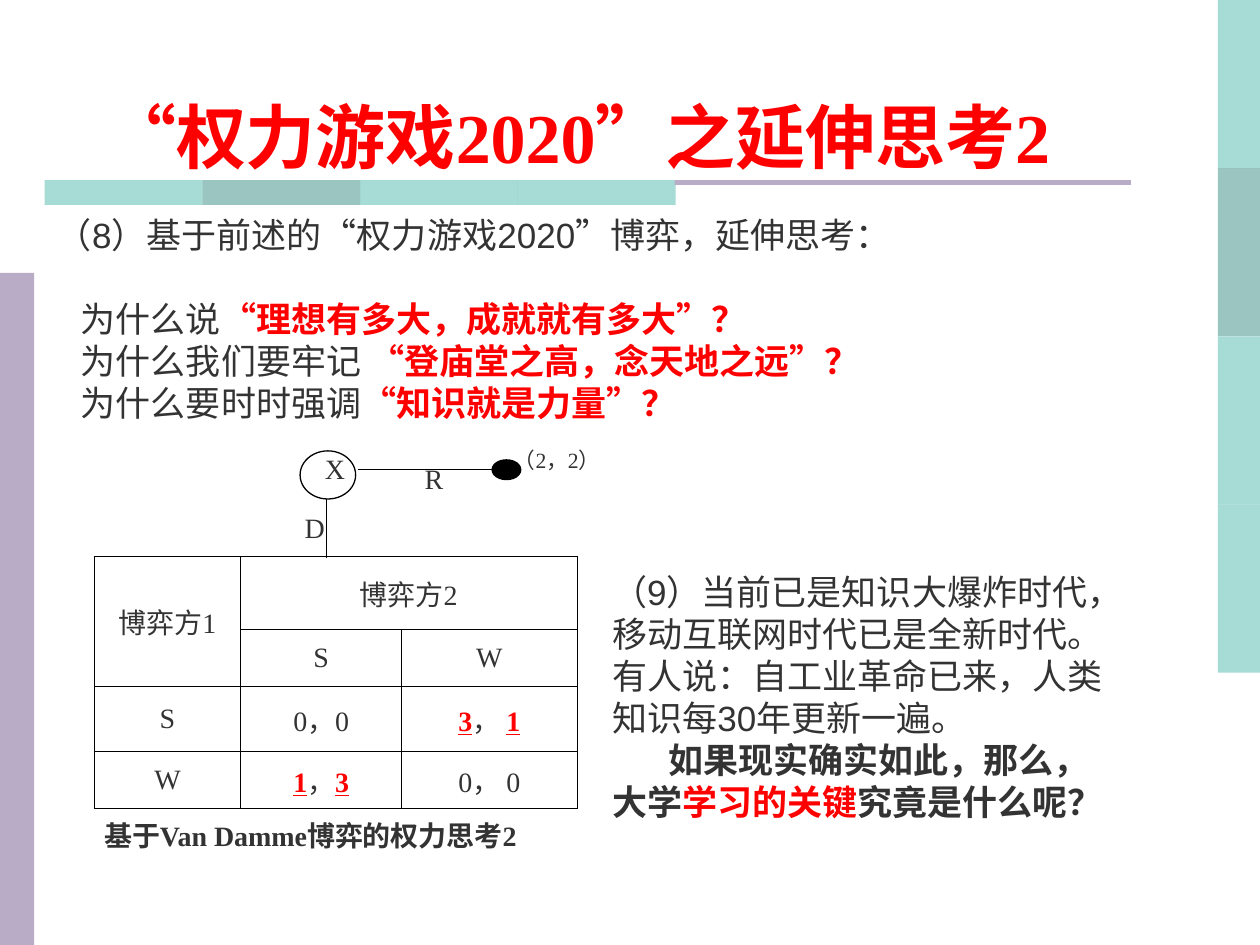
from lxml import etree
from pptx import Presentation
from pptx import util as u
from pptx.dml.color import RGBColor
from pptx.enum import shapes, text
from pptx.oxml.ns import qn

RED = RGBColor(0xFF, 0x00, 0x00)
INK = RGBColor(0x33, 0x33, 0x33)
BLACK = RGBColor(0x00, 0x00, 0x00)
TEAL = RGBColor(0x51, 0xB9, 0xAF)
DARK_TEAL = RGBColor(0x39, 0x8D, 0x85)
LILAC = RGBColor(0xB8, 0xAC, 0xC6)
BAND = (TEAL, DARK_TEAL, TEAL, TEAL)

SERIF, SANS = "Times New Roman", "Arial"
ALIGN, ANCHOR, FIT = text.PP_ALIGN, text.MSO_ANCHOR, text.MSO_AUTO_SIZE


def box(*lengths):
    return [u.Cm(length) for length in lengths]


class SlideBuilder:
    def __init__(self, slide):
        self.slide = slide

    def fill_paragraph(self, par, content, size=16, face=SERIF, color=INK,
                       bold=False, align=None, underline=None):
        """Fill a paragraph; parts between asterisks are red and bold."""
        par.alignment = align
        font = par.font
        font.size, font.name, font.bold = u.Pt(size), face, bold
        font.color.rgb = color
        for i, part in enumerate(content.split("*")):
            if not part:
                continue
            run = par.add_run()
            run.text = part
            if i % 2:
                run.font.color.rgb, run.font.bold = RED, True
                run.font.underline = underline

    def title(self, at, content):
        title = self.slide.shapes.title
        title.left, title.top, title.width, title.height = box(*at)
        frame = title.text_frame
        frame.vertical_anchor = ANCHOR.BOTTOM
        frame.word_wrap, frame.auto_size = True, FIT.NONE
        self.fill_paragraph(frame.paragraphs[0], content, 40, color=RED,
                            bold=True, align=ALIGN.CENTER)

    def text(self, at, *lines, anchor=ANCHOR.TOP, wrap=True, fit=FIT.NONE, **style):
        frame = self.slide.shapes.add_textbox(*box(*at)).text_frame
        frame.word_wrap, frame.auto_size, frame.vertical_anchor = wrap, fit, anchor
        for i, content in enumerate(lines):
            par = frame.add_paragraph() if i else frame.paragraphs[0]
            self.fill_paragraph(par, content, **style)
        return frame.paragraphs

    def shape(self, kind, at, fill=None, alpha=None, line=None):
        shape = self.slide.shapes.add_shape(kind, *box(*at))
        shape.shadow.inherit = False
        if fill is None:
            shape.fill.background()
        else:
            shape.fill.solid()
            shape.fill.fore_color.rgb = fill
        if alpha:
            color = shape._element.spPr.find(".//" + qn("a:srgbClr"))
            etree.SubElement(color, qn("a:alpha")).set("val", str(alpha * 1000))
        if line:
            shape.line.color.rgb, shape.line.width = BLACK, u.Pt(line)
        else:
            shape.line.fill.background()

    def rect(self, at, fill, alpha=None):
        self.shape(shapes.MSO_SHAPE.RECTANGLE, at, fill, alpha)

    def ellipse(self, at, fill=None, line=0.75):
        self.shape(shapes.MSO_SHAPE.OVAL, at, fill, line=line)

    def line(self, *ends):
        branch = self.slide.shapes.add_connector(
            shapes.MSO_CONNECTOR.STRAIGHT, *box(*ends))
        branch.line.color.rgb, branch.line.width = BLACK, u.Pt(0.75)
        etree.SubElement(branch._element.spPr, qn("a:effectLst"))

    def border(self, cell):
        props = cell._tc.get_or_add_tcPr()
        for i, side in enumerate(("lnL", "lnR", "lnT", "lnB")):
            edge = etree.Element(qn("a:" + side), w=str(int(u.Pt(0.45))))
            fill = etree.SubElement(edge, qn("a:solidFill"))
            etree.SubElement(fill, qn("a:srgbClr"), val=str(BLACK))
            props.insert(i, edge)

    def table(self, at, widths, heights, rows, merges):
        table = self.slide.shapes.add_table(
            len(heights), len(widths), *box(*at)).table
        table.first_row = table.horz_banding = False
        for column, width in zip(table.columns, widths):
            column.width = u.Cm(width)
        for row, height in zip(table.rows, heights):
            row.height = u.Cm(height)
        for r, row in enumerate(rows):
            for c, content in enumerate(row):
                cell = table.cell(r, c)
                cell.fill.background()
                cell.vertical_anchor = ANCHOR.MIDDLE
                self.border(cell)
                if content:
                    self.fill_paragraph(cell.text_frame.paragraphs[0], content,
                                        align=ALIGN.CENTER, underline=True)
        for first, last in merges:
            table.cell(*first).merge(table.cell(*last))


def main():
    deck = Presentation()
    deck.slide_width, deck.slide_height = box(25.4, 19.05)
    page = SlideBuilder(deck.slides.add_slide(deck.slide_layouts[5]))

    # Side bands, and the band and rule under the title
    for i, color in enumerate(BAND):
        page.rect((24.55, 3.39 * i, 0.85, 3.39), color, 50)
    page.rect((0, 5.5, 0.69, 13.55), LILAC)
    for i, color in enumerate(BAND):
        page.rect((0.9 + 3.18 * i, 3.63, 3.18, 0.5), color, 50)
    page.rect((13.6, 3.63, 9.2, 0.1), LILAC)

    page.title((0.2, 1.52, 22.91, 2.18), "“权力游戏2020”之延伸思考2")

    # Question 8
    intro, *questions = page.text(
        (0.9, 4.17, 22.22, 4.5),
        "（8）基于前述的“权力游戏2020”博弈，延伸思考：",
        "为什么说*“理想有多大，成就就有多大”？*",
        "为什么我们要牢记 *“登庙堂之高，念天地之远”？*",
        "为什么要时时强调*“知识就是力量”？*",
        anchor=ANCHOR.MIDDLE, fit=FIT.SHAPE_TO_FIT_TEXT, size=20, face=SANS)
    for question in questions:
        question._p.get_or_add_pPr().set("marL", str(u.Cm(0.48)))
    questions[0].space_before = u.Pt(24)

    # Payoff table
    page.table(
        (1.9, 11.22, 9.73, 5.08), (2.95, 3.25, 3.53), (1.47, 1.15, 1.31, 1.15),
        [("博弈方1", "博弈方2", ""),
         ("", "S", "W"),
         ("S", "0，0", "*3*， *1*"),
         ("W", "*1*，*3*", "0， 0")],
        merges=[((0, 0), (1, 0)), ((0, 1), (0, 2))])

    # Game tree
    for label, left, top in (("X", 6.3, 8.97), ("D", 5.89, 10.16), ("R", 8.31, 9.17)):
        page.text((left, top, 1.12, 0.94), label, align=ALIGN.JUSTIFY)
    payoff, = page.text((10.11, 8.99, 2.82, 0.97), "（2，2）", size=12.4,
                        align=ALIGN.JUSTIFY)
    payoff.line_spacing = 0.8
    page.line(6.58, 11.25, 6.58, 10.06)
    page.ellipse((6.05, 9.09, 1.12, 0.97))
    page.line(7.21, 9.47, 10.01, 9.47)
    page.ellipse((9.93, 9.28, 0.56, 0.38), fill=BLACK, line=1.25)
    page.text((1.85, 16.38, 9.27, 0.94), "基于Van Damme博弈的权力思考2",
              wrap=False, fit=FIT.SHAPE_TO_FIT_TEXT, bold=True)

    # Question 9
    _, closing = page.text(
        (12.09, 11.38, 10.52, 5.33),
        "（9）当前已是知识大爆炸时代，移动互联网时代已是全新时代。"
        "有人说：自工业革命已来，人类知识每30年更新一遍。",
        "如果现实确实如此，那么，大学*学习的关键*究竟是什么呢？",
        anchor=ANCHOR.MIDDLE, fit=FIT.SHAPE_TO_FIT_TEXT, size=20, face=SANS)
    closing.font.bold = True
    closing._p.get_or_add_pPr().set("indent", str(u.Cm(1.13)))

    deck.save("out.pptx")


if __name__ == "__main__":
    main()
